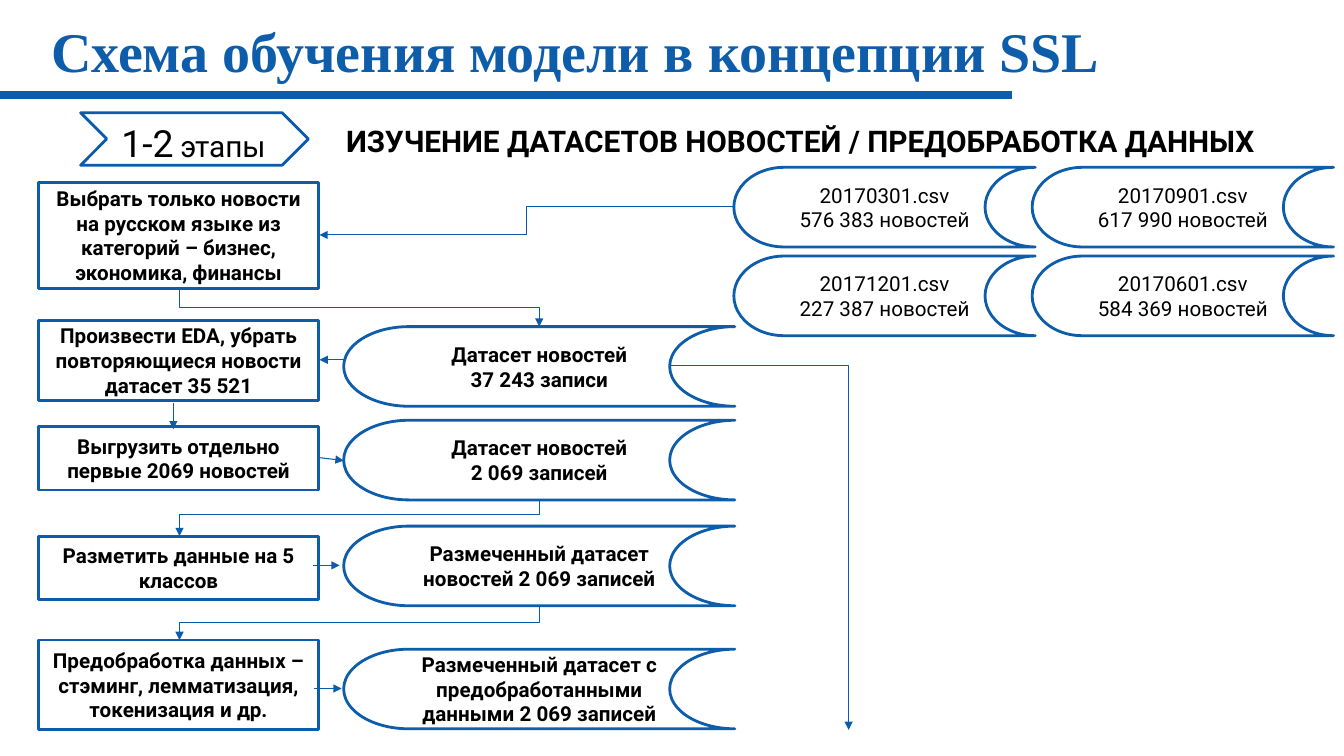
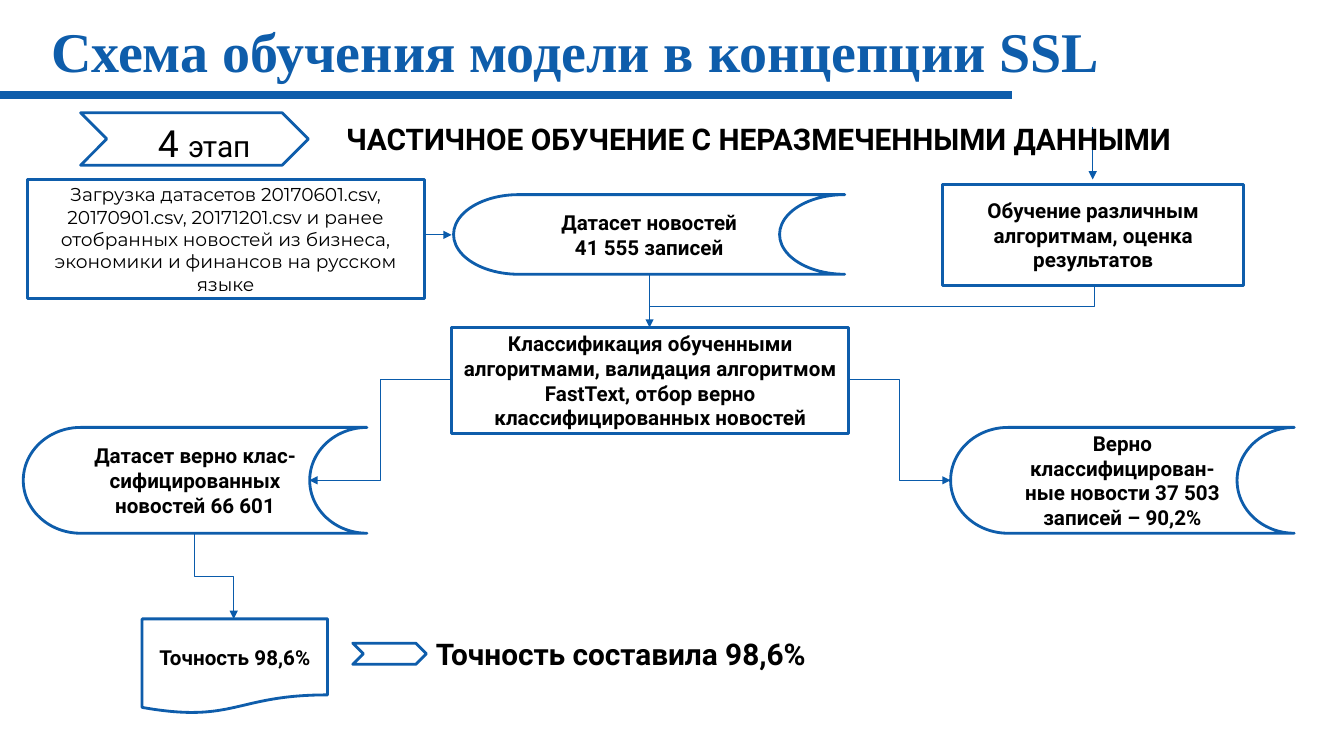
from dataclasses import dataclass
from typing import Any

from pptx import Presentation
from pptx.dml.color import RGBColor
from pptx.enum.shapes import MSO_CONNECTOR, MSO_SHAPE
from pptx.enum.text import MSO_ANCHOR, PP_ALIGN
from pptx.oxml.ns import qn
from pptx.util import Pt
from lxml.etree import SubElement

HUES = {"blue": "0E5DAB", "link": "0A5BAB", "ink": "000000", "white": "FFFFFF"}
BOX = MSO_SHAPE.RECTANGLE
DRUM = MSO_SHAPE.FLOWCHART_STORED_DATA
PAPER = MSO_SHAPE.FLOWCHART_DOCUMENT
ARROW = MSO_SHAPE.CHEVRON
TITLE = "Схема обучения модели в концепции SSL"
MID = 56.9


def hue(name):
    return RGBColor.from_string(HUES[name])


def style(run, size, bold, face="Roboto", color="ink"):
    font = run.font
    font.size, font.bold, font.name = Pt(size), bold, face
    font.color.rgb = hue(color)


@dataclass
class Area:
    slide: Any
    x: float
    y: float

    def place(self, x, y):
        return Pt(self.x + x), Pt(self.y + y)

    def shape(self, kind, x, y, w, h, text="", bold=True, size=14.7,
              face="Roboto", fill=True, line="blue"):
        item = self.slide.shapes.add_shape(kind, *self.place(x, y), Pt(w), Pt(h))
        item.shadow.inherit = False
        item.line.color.rgb = hue(line)
        item.line.width = Pt(2)
        if fill:
            item.fill.solid()
            item.fill.fore_color.rgb = hue("white")
        else:
            item.fill.background()
        if text:
            frame = item.text_frame
            frame.word_wrap = True
            frame.vertical_anchor = MSO_ANCHOR.MIDDLE
            frame.text = text
            for para in frame.paragraphs:
                para.alignment = PP_ALIGN.CENTER
                style(para.runs[0], size, bold, face)

    def label(self, x, y, w, h, parts, bold=True, face="Roboto", color="ink",
              center=False, space=None):
        item = self.slide.shapes.add_textbox(*self.place(x, y), Pt(w), Pt(h))
        frame = item.text_frame
        frame.word_wrap = True
        frame.margin_left = frame.margin_right = Pt(9.6)
        frame.margin_top = frame.margin_bottom = Pt(4.8)
        para = frame.paragraphs[0]
        if center:
            frame.vertical_anchor = MSO_ANCHOR.MIDDLE
            para.alignment = PP_ALIGN.CENTER
        if space:
            para.line_spacing = space
        for text, size in parts:
            run = para.add_run()
            run.text = text
            style(run, size, bold, face, color)

    def link(self, x1, y1, x2, y2, bend=0, down=False, ratio=None,
             head=True, color="link", width=0.75):
        kind = MSO_CONNECTOR.ELBOW if bend else MSO_CONNECTOR.STRAIGHT
        wire = self.slide.shapes.add_connector(
            kind, *self.place(x1, y1), *self.place(x2, y2))
        wire.line.color.rgb = hue(color)
        wire.line.width = Pt(width)
        props = wire._element.spPr
        if bend:
            geom = props.find(qn("a:prstGeom"))
            geom.set("prst", f"bentConnector{bend}")
            if ratio:
                SubElement(geom.find(qn("a:avLst")), qn("a:gd"),
                           name="adj1", fmla=f"val {round(ratio * 100000)}")
        if down:
            wide, tall = abs(x2 - x1), abs(y2 - y1)
            left, top = (x1 + x2 - tall) / 2, (y1 + y2 - wide) / 2
            wire.left, wire.top = self.place(left, top)
            wire.width, wire.height = Pt(tall), Pt(wide)
            frame = props.find(qn("a:xfrm"))
            right = x2 > x1
            frame.set("rot", str((270 if right else 90) * 60000))
            frame.set("flipH", "1" if right else "0")
        if head:
            SubElement(props.find(qn("a:ln")), qn("a:tailEnd"), type="triangle")
        SubElement(props, qn("a:effectLst"))


def header(slide, x, y, topic, drop, stage, left, wide, line):
    area = Area(slide, x, y)
    area.link(-2.9, 67.7, 722.9, 67.7, head=False, color="blue", width=6)
    area.label(27, 7.2, 916, 56.9, [(TITLE, 40)],
               face="Times New Roman", color="blue")
    area.label(237.6, drop, 683.3, 33.1, [(topic, 21.3)])
    area.shape(ARROW, 57.6, 80.6, 162.7, 37.4, fill=False, line=line)
    area.label(left, 82.1, wide, 37.4, stage, bold=False, center=True, space=1.07)


def files(slide, x, y):
    area = Area(slide, x, y)
    names = ["20170301.csv\n576 383 новостей", "20170901.csv\n617 990 новостей",
             "20171201.csv\n227 387 новостей", "20170601.csv\n584 369 новостей"]
    for i, name in enumerate(names):
        row, col = divmod(i, 2)
        area.shape(DRUM, col * 213.1, row * 63.4, 215.3, MID, name, bold=False)


def steps(slide, x, y):
    area = Area(slide, x, y)
    for top, high, text in [
        (0, 75.6, "Выбрать только новости на русском языке из категорий – "
                  "бизнес, экономика, финансы"),
        (98.7, MID, "Произвести EDA, убрать повторяющиеся новости датасет 35 521"),
        (174.3, 45.4, "Выгрузить отдельно первые 2069 новостей"),
        (252.7, 45.4, "Разметить данные на 5 классов"),
        (326.9, 64.1, "Предобработка данных – стэминг, лемматизация, "
                      "токенизация и др."),
    ]:
        area.shape(BOX, 0, top, 200.2, high, text)


def drums(slide, x, y):
    area = Area(slide, x, y)
    for top, text in [
        (0, "Датасет новостей\n37 243 записи"),
        (66.9, "Датасет новостей\n2 069 записей"),
        (142.5, "Размеченный датасет новостей 2 069 записей"),
        (230.4, "Размеченный датасет с предобработанными данными 2 069 записей"),
    ]:
        area.shape(DRUM, 0, top, 279.4, MID, text)


def wires(slide, x, y):
    area = Area(slide, x, y)
    area.link(496.8, 17.3, 200.8, 37.5, bend=3)
    for start, end, ratio in [((100.8, 75.6), (357.8, 103), None),
                              ((357.8, 226.8), (100.8, 252.7), 0.39),
                              ((357.8, 302.4), (100.8, 326.9), None)]:
        area.link(*start, *end, bend=3, down=True, ratio=ratio)
    for ends in [(218.1, 126.7, 200.8, 126.7), (200.8, 196.6, 218.1, 198.7),
                 (196.5, 273.6, 215.2, 273.6), (197.2, 361.5, 216.7, 361.5)]:
        area.link(*ends)
    area.link(96.4, 157.7, 96.4, 176.4, color="blue", width=1)
    area.link(451.4, 131.1, 578.8, 391, bend=2)


def train(slide, x, y):
    area = Area(slide, x, y)
    area.shape(DRUM, 304.6, 10.8, 279.4, MID, "Датасет новостей\n41 555 записей")
    area.shape(BOX, 0, 0, 283.7, 85,
               "Загрузка датасетов 20170601.csv, 20170901.csv, 20171201.csv "
               "и ранее отобранных новостей из бизнеса, экономики и финансов "
               "на русском языке", bold=False, size=13.3, face="Montserrat")
    area.shape(BOX, 653.8, 3.6, 215.3, 72,
               "Обучение различным алгоритмам, оценка результатов")
    area.link(283.7, 39.6, 303.2, 39.6)
    area.link(761.1, -37.5, 761.1, 0)
    area.link(762.5, 75.6, 445, 90.7, bend=2, down=True, head=False)
    area.link(444.6, 67.7, 444.6, 105.8)


def sort(slide, x, y):
    area = Area(slide, x, y)
    area.shape(BOX, 306, 0, 283.7, 75.6,
               "Классификация обученными алгоритмами, валидация алгоритмом "
               "FastText, отбор верно классифицированных новостей")
    for left, text in [
        (0, "Датасет верно клас-сифицированных новостей 66 601"),
        (662.4, "Верно классифицирован-ные новости 37 503\nзаписей – 90,2%"),
    ]:
        area.shape(DRUM, left, 71.3, 245.5, 75.6, text)
    area.link(589.7, 37.4, 662.4, 109.1, bend=3)
    area.link(306, 37.4, 204.4, 109.1, bend=3)
    area.link(122.4, 146.9, 150.4, 208.1, bend=3, down=True)


def score(slide, x, y):
    area = Area(slide, x, y)
    area.shape(PAPER, 0, 0, 132.5, 67.7, "Точность 98,6%")
    area.shape(ARROW, 150.5, 17.3, 52.6, 15.1, fill=False)
    area.label(200.2, 3.6, 292.3, 42.5, [("Точность составила 98,6%", 21.3)],
               space=1.15)


def main():
    deck = Presentation()
    deck.slide_width, deck.slide_height = Pt(960), Pt(540)
    blank = deck.slide_layouts[6]

    first = deck.slides.add_slide(blank)
    steps(first, 27.4, 130.3)
    files(first, 524.2, 119.5)
    drums(first, 245.5, 233.3)
    wires(first, 27.4, 130.3)
    header(first, 0, 0, "ИЗУЧЕНИЕ ДАТАСЕТОВ НОВОСТЕЙ / ПРЕДОБРАБОТКА ДАННЫХ", 82.8,
           [("1-2", 26.7), (" ", 18.7), ("этапы", 21.3)], 68.4, 139.7, "link")

    second = deck.slides.add_slide(blank)
    train(second, 19.4, 128.2)
    sort(second, 16.6, 234)
    score(second, 101.5, 442.1)
    header(second, 0, 0, "ЧАСТИЧНОЕ ОБУЧЕНИЕ С НЕРАЗМЕЧЕННЫМИ ДАННЫМИ", 81.4,
           [("4 ", 26.7), ("этап", 21.3)], 83.5, 124.6, "blue")
    deck.save("out.pptx")


if __name__ == "__main__":
    main()
